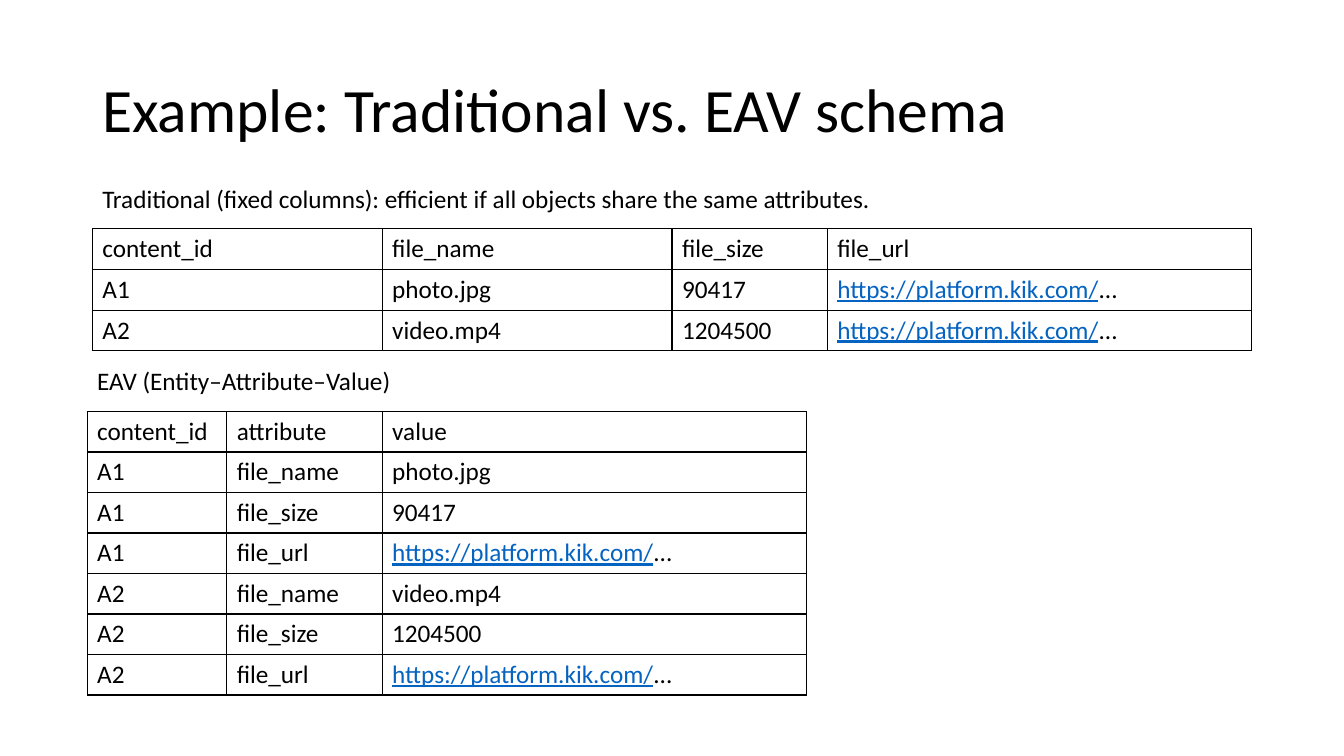
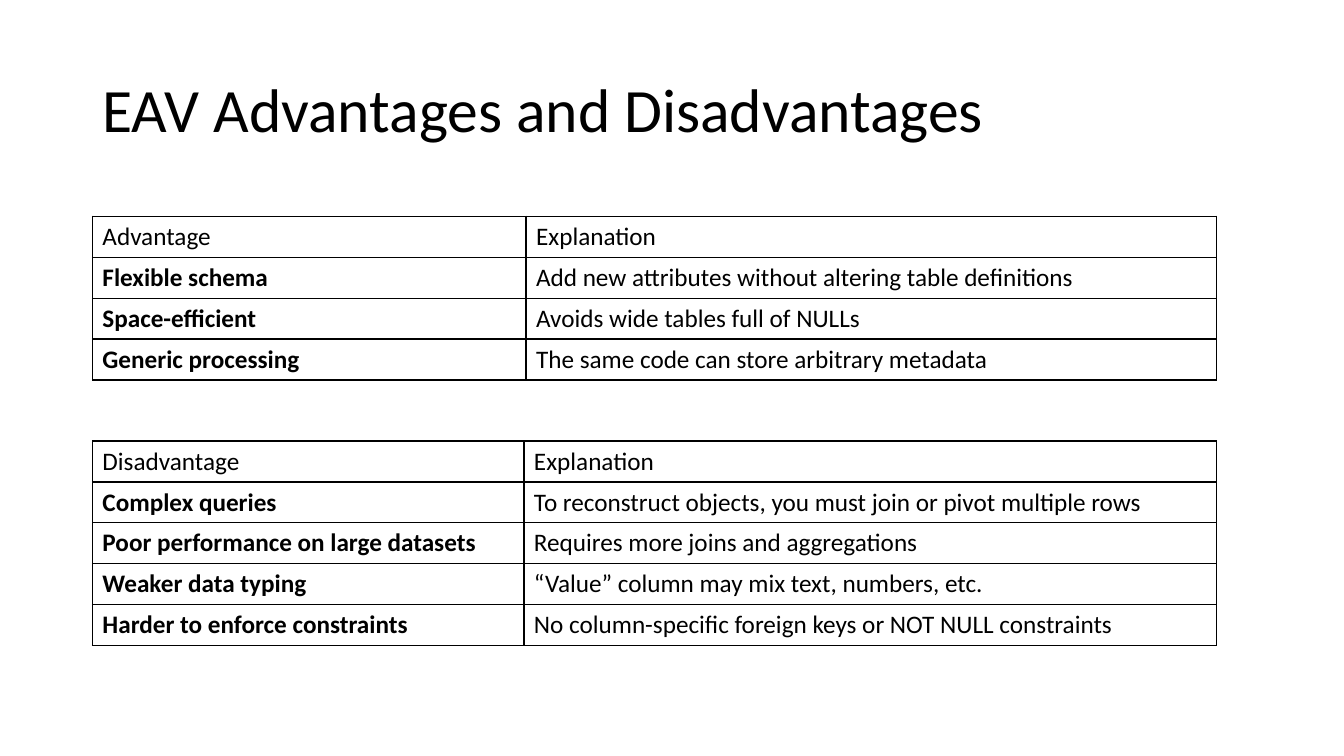
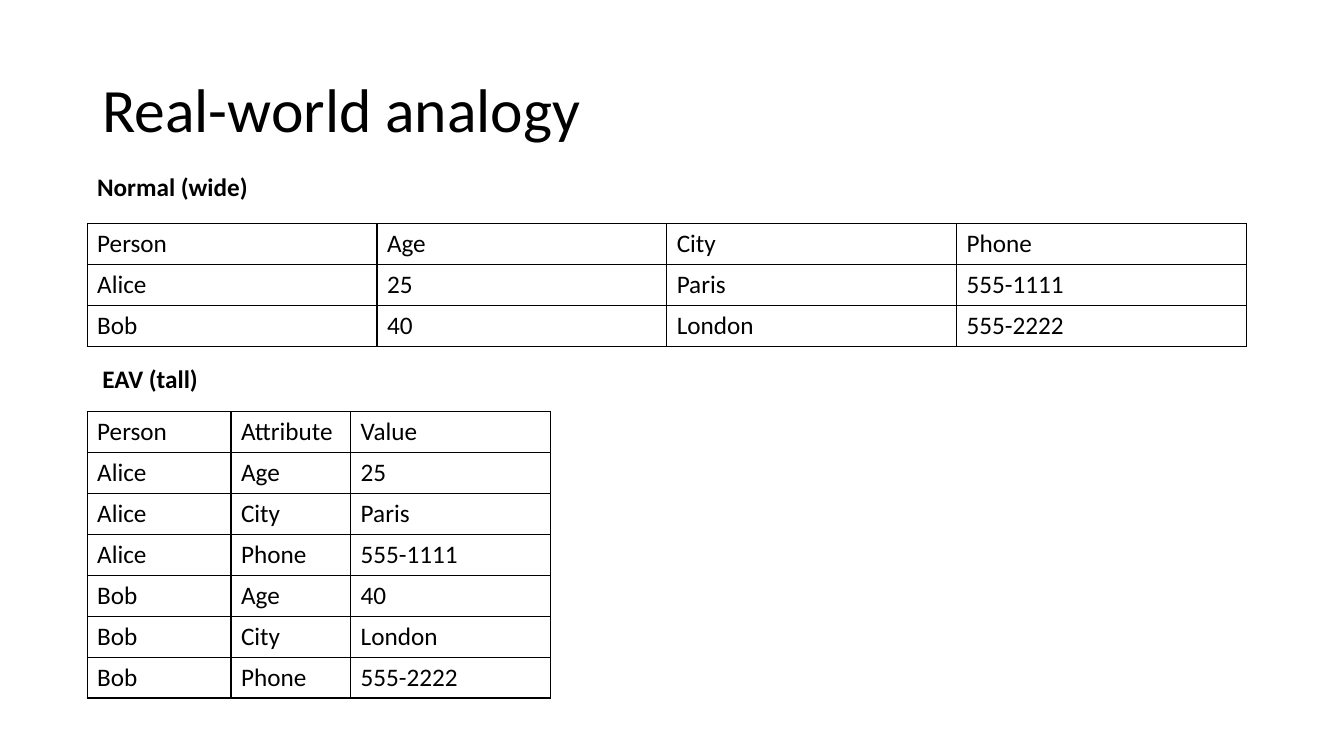
from dataclasses import dataclass
from typing import Any, NamedTuple

from lxml.etree import SubElement
from pptx import Presentation
from pptx.dml.color import RGBColor
from pptx.enum.text import MSO_ANCHOR
from pptx.oxml.ns import qn
from pptx.slide import Slide
from pptx.text.text import _Paragraph
from pptx.util import Emu, Pt

EMU_PER_PX = 9525


def px(length: int) -> Emu:
    return Emu(length * EMU_PER_PX)


@dataclass(frozen=True)
class Theme:
    font: str = "Calibri"
    title_size: int = 44
    body_size: int = 18
    ink: str = "000000"
    link: str = "0563C1"
    border_pt: int = 1
    title_spacing: float = 0.9


THEME = Theme()

Rows = list[tuple[str, ...]]


class Box(NamedTuple):
    left: int
    top: int
    width: int
    height: int


class Caption(NamedTuple):
    text: str
    box: Box
    bold: bool = False


class Grid(NamedTuple):
    left: int
    top: int
    height: int
    columns: tuple[int, ...]
    rows: Rows
    bold_labels: bool = False


class Page(NamedTuple):
    title: str
    grids: list[Grid]
    captions: list[Caption]


SLIDE_WIDTH, SLIDE_HEIGHT = 1280, 720
MARGIN, OUTER_MARGIN = 88, 83
TITLE_BOX = Box(MARGIN, 38, 1104, 139)
CAPTION_HEIGHT = 38
CELL_PADDING = 3
EAV_TOP = 392
URL = "https://platform.kik.com/"


def entity_rows(header: tuple[str, ...], wide: Rows) -> Rows:
    attributes = wide[0][1:]
    return [header] + [
        (entity, attribute, value)
        for entity, *values in wide[1:]
        for attribute, value in zip(attributes, values)
    ]


FILES: Rows = [
    ("content_id", "file_name", "file_size", "file_url"),
    ("A1", "photo.jpg", "90417", URL + "..."),
    ("A2", "video.mp4", "1204500", URL + "..."),
]
ADVANTAGES: Rows = [
    ("Advantage", "Explanation"),
    ("Flexible schema", "Add new attributes without altering table definitions"),
    ("Space-efficient", "Avoids wide tables full of NULLs"),
    ("Generic processing", "The same code can store arbitrary metadata"),
]
DISADVANTAGES: Rows = [
    ("Disadvantage", "Explanation"),
    ("Complex queries", "To reconstruct objects, you must join or pivot multiple rows"),
    ("Poor performance on large datasets", "Requires more joins and aggregations"),
    ("Weaker data typing", "“Value” column may mix text, numbers, etc."),
    ("Harder to enforce constraints", "No column-specific foreign keys or NOT NULL constraints"),
]
PEOPLE: Rows = [
    ("Person", "Age", "City", "Phone"),
    ("Alice", "25", "Paris", "555-1111"),
    ("Bob", "40", "London", "555-2222"),
]

PAGES = [
    Page(
        "Example: Traditional vs. EAV schema",
        [
            Grid(MARGIN, 218, 116, (276, 276, 148, 404), FILES),
            Grid(OUTER_MARGIN, EAV_TOP, 270, (133, 148, 404),
                 entity_rows(("content_id", "attribute", "value"), FILES)),
        ],
        [
            Caption("Traditional (fixed columns): efficient if all objects share the same attributes.",
                    Box(MARGIN, 170, 947, CAPTION_HEIGHT)),
            Caption("EAV (Entity–Attribute–Value)", Box(OUTER_MARGIN, 343, 648, CAPTION_HEIGHT)),
        ],
    ),
    Page(
        "EAV Advantages and Disadvantages",
        [
            Grid(MARGIN, 206, 156, (413, 658), ADVANTAGES, True),
            Grid(MARGIN, 420, 195, (411, 660), DISADVANTAGES, True),
        ],
        [],
    ),
    Page(
        "Real-world analogy",
        [
            Grid(OUTER_MARGIN, 213, 117, (276,) * 4, PEOPLE),
            Grid(OUTER_MARGIN, EAV_TOP, 273, (137, 114, 190),
                 entity_rows(("Person", "Attribute", "Value"), PEOPLE)),
        ],
        [
            Caption("Normal (wide)", Box(OUTER_MARGIN, 158, 216, CAPTION_HEIGHT), True),
            Caption("EAV (tall)", Box(MARGIN, 341, 648, CAPTION_HEIGHT), True),
        ],
    ),
]


def apply(target: Any, formats: dict[str, Any]) -> None:
    for attribute, value in formats.items():
        setattr(target, attribute, value)


def add_run(paragraph: _Paragraph, text: str, size: int, bold: bool, linked: bool = False) -> None:
    run = paragraph.add_run()
    run.text = text
    apply(run.font, {"name": THEME.font, "size": Pt(size), "bold": bold, "underline": linked})
    run.font.color.rgb = RGBColor.from_string(THEME.link if linked else THEME.ink)


def write(paragraph: _Paragraph, text: str, size: int = THEME.body_size, bold: bool = False) -> None:
    if text.startswith(URL):
        add_run(paragraph, URL, size, bold, linked=True)
        text = text.removeprefix(URL)
    add_run(paragraph, text, size, bold)


def add_text(slide: Slide, box: Box, text: str, size: int, bold: bool,
             anchor: MSO_ANCHOR, spacing: float) -> None:
    frame = slide.shapes.add_textbox(*map(px, box)).text_frame
    apply(frame, {"word_wrap": True, "vertical_anchor": anchor})
    paragraph = frame.paragraphs[0]
    paragraph.line_spacing = spacing
    write(paragraph, text, size, bold)


def add_borders(cell: Any) -> None:
    properties = cell._tc.get_or_add_tcPr()
    for side in ("a:lnL", "a:lnR", "a:lnT", "a:lnB"):
        line = SubElement(properties, qn(side), w=str(Pt(THEME.border_pt)))
        fill = SubElement(line, qn("a:solidFill"))
        SubElement(fill, qn("a:srgbClr"), val=THEME.ink)


def add_grid(slide: Slide, grid: Grid) -> None:
    table = slide.shapes.add_table(
        len(grid.rows), len(grid.columns), px(grid.left), px(grid.top),
        px(sum(grid.columns)), px(grid.height),
    ).table
    apply(table, {"first_row": False, "horz_banding": False})
    for column, width in zip(table.columns, grid.columns):
        column.width = px(width)
    for row_index, row in enumerate(grid.rows):
        for column_index, text in enumerate(row):
            cell = table.cell(row_index, column_index)
            apply(cell, {
                "vertical_anchor": MSO_ANCHOR.MIDDLE,
                "margin_top": px(CELL_PADDING),
                "margin_bottom": px(CELL_PADDING),
            })
            add_borders(cell)
            cell.fill.background()
            is_label = row_index > 0 and column_index == 0
            write(cell.text_frame.paragraphs[0], text, bold=grid.bold_labels and is_label)


def add_page(deck: Any, page: Page) -> None:
    slide = deck.slides.add_slide(deck.slide_layouts[6])
    add_text(slide, TITLE_BOX, page.title, THEME.title_size, False,
             MSO_ANCHOR.MIDDLE, THEME.title_spacing)
    for grid in page.grids:
        add_grid(slide, grid)
    for caption in page.captions:
        add_text(slide, caption.box, caption.text, THEME.body_size, caption.bold,
                 MSO_ANCHOR.TOP, 1.0)


def main() -> None:
    deck = Presentation()
    apply(deck, {"slide_width": px(SLIDE_WIDTH), "slide_height": px(SLIDE_HEIGHT)})
    for page in PAGES:
        add_page(deck, page)
    deck.save("out.pptx")


if __name__ == "__main__":
    main()
